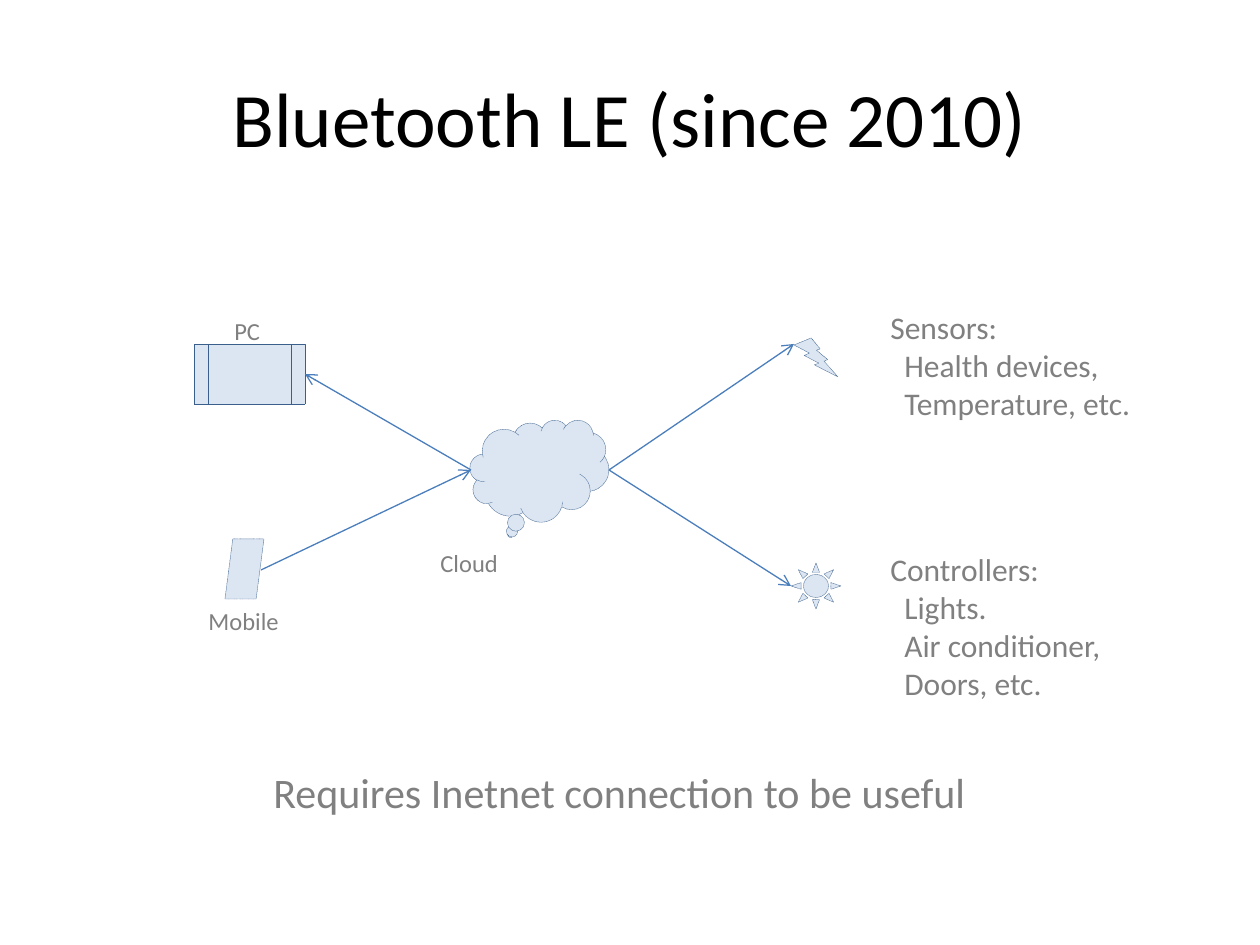
from lxml.etree import SubElement
from pptx import Presentation
from pptx.dml.color import RGBColor
from pptx.enum.dml import MSO_LINE as Dash
from pptx.enum.shapes import MSO_CONNECTOR as Connector, MSO_SHAPE as Shape
from pptx.enum.text import MSO_ANCHOR as Anchor, MSO_AUTO_SIZE as AutoSize, PP_ALIGN as Align
from pptx.oxml.ns import qn
from pptx.util import Pt

EMU_PER_PX = 914400 / 126
BLACK, GRAY, PALE, NAVY, BLUE = "000000", "808080", "DCE6F2", "3A5F8C", "4B7EBC"
FONT = "Calibri"
LIST_INDENT = 14

TITLE = ("Bluetooth LE (since 2010)", (63, 38, 1134, 157))

# name: (preset shape, left, top, width, height)
DEVICES = {
    "cloud": (Shape.CLOUD_CALLOUT, (470, 420, 139, 102)),
    "mobile": (Shape.FLOWCHART_DATA, (225, 539, 39, 60)),
    "controller": (Shape.SUN, (791, 563, 50, 46)),
    "sensor": (Shape.LIGHTNING_BOLT, (794, 338, 44, 39)),
    "pc": (Shape.FLOWCHART_PREDEFINED_PROCESS, (194, 344, 111, 60)),
}

# text, box, size in points
LABELS = [
    ("PC", (222, 310, 52, 43), 14),
    ("Mobile", (196, 600, 97, 43), 14),
    ("Cloud", (428, 542, 83, 43), 14),
    ("Requires Inetnet connection to be useful", (261, 760, 725, 63), 24),
]

# heading, items, box
LISTS = [
    ("Sensors:", ["Health devices,", "Temperature, etc."], (878, 302, 277, 127)),
    ("Controllers:", ["Lights.", "Air conditioner,", "Doors, etc."], (878, 544, 277, 165)),
]

CLOUD_LEFT, CLOUD_RIGHT = (471, 470), (609, 470)
PC_RIGHT = (305, 374)
ARROWS = [
    (CLOUD_LEFT, PC_RIGHT),
    ((261, 570), CLOUD_LEFT),
    (CLOUD_RIGHT, (794, 344)),
    (CLOUD_RIGHT, (791, 586)),
]


def px(*lengths):
    return [round(length * EMU_PER_PX) for length in lengths]


def color(value):
    return RGBColor.from_string(value)


def set_line(line, value, width, dash=None):
    line.color.rgb = color(value)
    formats = {"width": Pt(width), "dash_style": dash}
    for name, setting in formats.items():
        setattr(line, name, setting)


def add_text(slide, lines, box, size, value=GRAY, align=Align.LEFT, **frame_formats):
    """Add a text box whose lines after the first are indented."""
    frame = slide.shapes.add_textbox(*px(*box)).text_frame
    for name, setting in frame_formats.items():
        setattr(frame, name, setting)
    for index, text in enumerate(lines):
        paragraph = frame.paragraphs[0] if index == 0 else frame.add_paragraph()
        paragraph.alignment = align
        if index:
            paragraph._p.get_or_add_pPr().set("marL", str(px(LIST_INDENT)[0]))
        run = paragraph.add_run()
        run.text = text
        for name, setting in {"name": FONT, "size": Pt(size)}.items():
            setattr(run.font, name, setting)
        run.font.color.rgb = color(value)


def add_device(slide, preset, box):
    shape = slide.shapes.add_shape(preset, *px(*box))
    shape.shadow.inherit = False
    shape.fill.solid()
    shape.fill.fore_color.rgb = color(PALE)
    set_line(shape.line, NAVY, 0.25, Dash.ROUND_DOT)
    return shape


def add_arrow(slide, start, end):
    connector = slide.shapes.add_connector(Connector.STRAIGHT, *px(*start, *end))
    set_line(connector.line, BLUE, 0.75)
    SubElement(connector.line._get_or_add_ln(), qn("a:tailEnd"), type="arrow")
    SubElement(connector._element.spPr, qn("a:effectLst"))
    return connector


def main():
    presentation = Presentation()
    presentation.slide_width, presentation.slide_height = px(1260, 945)
    slide = presentation.slides.add_slide(presentation.slide_layouts[6])

    title, title_box = TITLE
    add_text(slide, [title], title_box, 44, BLACK, Align.CENTER,
             word_wrap=True, vertical_anchor=Anchor.MIDDLE)
    devices = {name: add_device(slide, *device) for name, device in DEVICES.items()}
    for start, end in ARROWS:
        connector = add_arrow(slide, start, end)
        if end == PC_RIGHT:
            connector.end_connect(devices["pc"], 3)
    for text, box, size in LABELS:
        add_text(slide, [text], box, size,
                 word_wrap=False, auto_size=AutoSize.SHAPE_TO_FIT_TEXT)
    for heading, items, box in LISTS:
        add_text(slide, [heading, *items], box, 18,
                 word_wrap=True, auto_size=AutoSize.SHAPE_TO_FIT_TEXT)

    presentation.save("out.pptx")


if __name__ == "__main__":
    main()
